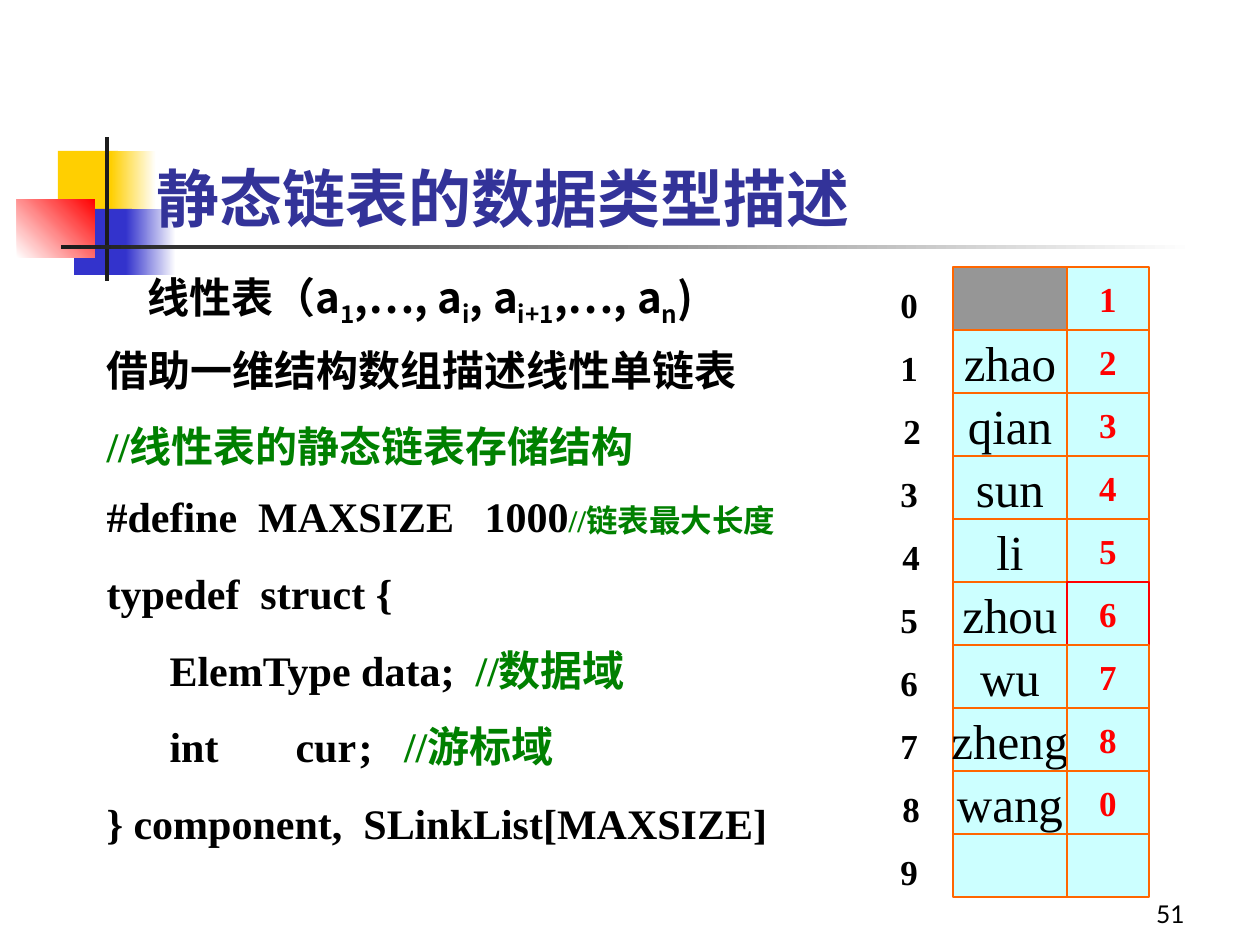
from lxml.etree import SubElement
from pptx import Presentation
from pptx.dml.color import RGBColor
from pptx.enum.shapes import MSO_SHAPE
from pptx.enum.text import MSO_ANCHOR, MSO_AUTO_SIZE, PP_ALIGN
from pptx.oxml.ns import qn
from pptx.util import Pt

PX = 914400 / 126
COLORS = {
    "gold": "FFCF01", "blue": "3333CC", "red": "FF0000", "white": "FFFFFF",
    "ink": "1C1C1C", "title": "333399", "black": "000000", "comment": "008000",
    "unused": "969696", "cell": "CCFFFF", "border": "FF6600",
}
SERIF, SANS = "Times New Roman", "Noto Sans CJK SC"


def place(left, top, width, height):
    return [round(value * PX) for value in (left, top, width, height)]


def add_run(paragraph, text, color, size, bold=True, typeface=SERIF):
    run = paragraph.add_run()
    run.text = text
    for name, value in {"name": typeface, "size": Pt(size), "bold": bold}.items():
        setattr(run.font, name, value)
    run.font.color.rgb = RGBColor.from_string(COLORS[color])
    properties = run.font._element
    SubElement(properties, qn("a:ea")).set("typeface", SANS)
    return properties


presentation = Presentation()
presentation.slide_width, presentation.slide_height = place(0, 0, 1260, 945)[2:]
slide = presentation.slides.add_slide(presentation.slide_layouts[1])
shapes = slide.shapes

ornaments = [
    ((58, 151, 60, 66), ["gold"], 0),
    ((111, 151, 45, 66), ["gold", "white"], 0),
    ((74, 209, 58, 66), ["blue"], 0),
    ((126, 209, 50, 66), ["blue", "white"], 0),
    ((17, 199, 78, 59), ["white", "red"], 45),
    ((105, 137, 4, 144), ["ink"], 0),
    ((61, 245, 1134, 4), ["ink", "white"], 0),
]
for box, colors, angle in ornaments:
    ornament = shapes.add_shape(MSO_SHAPE.RECTANGLE, *place(*box))
    ornament.shadow.inherit = False
    ornament.line.fill.background()
    if len(colors) == 1:
        ornament.fill.solid()
        ornament.fill.fore_color.rgb = RGBColor.from_string(COLORS[colors[0]])
    else:
        ornament.fill.gradient()
        ornament.fill.gradient_angle = angle
        for stop, color in zip(ornament.fill.gradient_stops, colors):
            stop.color.rgb = RGBColor.from_string(COLORS[color])

title, declaration = shapes.title, slide.placeholders[1]
for placeholder, box, anchor in [
    (title, (144, 139, 1071, 116), MSO_ANCHOR.MIDDLE),
    (declaration, (94, 338, 704, 517), MSO_ANCHOR.TOP),
]:
    placeholder.left, placeholder.top, placeholder.width, placeholder.height = place(*box)
    placeholder.element.getparent().append(placeholder.element)
    frame_format = {"auto_size": MSO_AUTO_SIZE.NONE, "vertical_anchor": anchor, "word_wrap": True}
    for name, value in frame_format.items():
        setattr(placeholder.text_frame, name, value)

heading = title.text_frame.paragraphs[0]
heading.alignment = PP_ALIGN.LEFT
add_run(heading, "静态链表的数据类型描述", "title", 36)

declaration_lines = [
    (0, [("借助一维结构数组描述线性单链表", "black", 24)]),
    (15, [("//线性表的静态链表存储结构", "comment", 24)]),
    (11.2, [("#define  MAXSIZE\t1000", "black", 24), ("//链表最大长度", "comment", 18)]),
    (15, [("typedef  struct {", "black", 24)]),
    (15, [("\tElemType data;  ", "black", 24), ("//数据域", "comment", 24)]),
    (15, [("\tint \t      cur\t;   ", "black", 24), ("//游标域", "comment", 24)]),
    (15, [("} component,  SLinkList[MAXSIZE]", "black", 24)]),
]
for number, (space, pieces) in enumerate(declaration_lines):
    frame = declaration.text_frame
    line = frame.add_paragraph() if number else frame.paragraphs[0]
    properties = line._p.get_or_add_pPr()
    properties.set("marL", "0")
    properties.set("indent", "0")
    SubElement(properties, qn("a:buNone"))
    tabs = SubElement(properties, qn("a:tabLst"))
    for inch in range(1, 8):
        tab = SubElement(tabs, qn("a:tab"))
        tab.set("pos", str(inch * 914400))
        tab.set("algn", "l")
    line.space_before = Pt(space)
    for text, color, size in pieces:
        add_run(line, text, color, size)

linear_list = shapes.add_textbox(*place(135, 275, 693, 58))
linear_list.text_frame.word_wrap = True
sequence = linear_list.text_frame.paragraphs[0]
sequence.line_spacing = 0.7
terms = ["线性表（a", "1", ",…, a", "i", ", a", "i+1", ",…, a", "n", ")"]
for position, term in enumerate(terms):
    properties = add_run(sequence, term, "black", 24, typeface=SANS)
    if position % 2:
        properties.set("baseline", "-25000")

names = ["", "zhao", "qian", "sun", "li", "zhou", "wu", "zheng", "wang", ""]
cursors = ["1", "2", "3", "4", "5", "6", "7", "8", "0", ""]
index_lefts = {2: 891, 4: 890, 8: 890}
for index, (name, cursor) in enumerate(zip(names, cursors)):
    top = 267 + 63 * index
    label = shapes.add_textbox(*place(index_lefts.get(index, 888), top + 10, 65, 55))
    label.text_frame.word_wrap = True
    add_run(label.text_frame.paragraphs[0], str(index), "black", 20)
    for left, width, text, fill, border, style in [
        (953, 114, name, "cell" if index else "unused", "border", ("black", 28, False)),
        (1067, 82, cursor, "cell", "red" if index == 5 else "border", ("red", 20, True)),
    ]:
        cell = shapes.add_shape(MSO_SHAPE.RECTANGLE, *place(left, top, width, 63))
        cell.shadow.inherit = False
        cell.fill.solid()
        cell.fill.fore_color.rgb = RGBColor.from_string(COLORS[fill])
        cell.line.color.rgb = RGBColor.from_string(COLORS[border])
        cell.line.width = Pt(0.75)
        if text:
            cell.text_frame.word_wrap = False
            cell.text_frame.vertical_anchor = MSO_ANCHOR.MIDDLE
            cell.text_frame.paragraphs[0].alignment = PP_ALIGN.CENTER
            add_run(cell.text_frame.paragraphs[0], text, *style)

page_number = shapes.add_textbox(*place(935, 872, 262, 63))
page_number.text_frame.word_wrap = True
page_number.text_frame.vertical_anchor = MSO_ANCHOR.BOTTOM
page_number.text_frame.paragraphs[0].alignment = PP_ALIGN.RIGHT
add_run(page_number.text_frame.paragraphs[0], "51", "black", 14, False, "Lato")

presentation.save("out.pptx")
